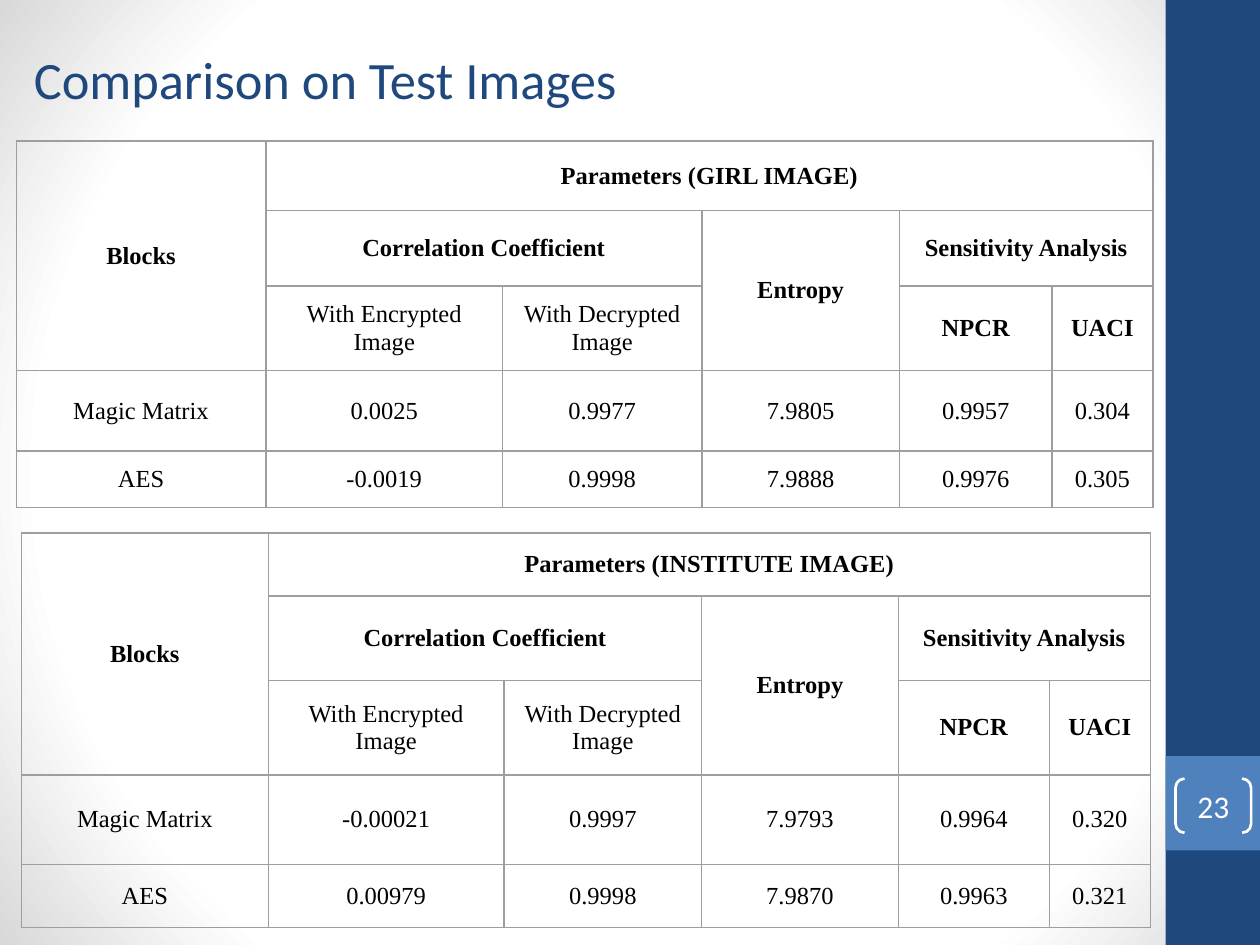
from lxml import etree
from pptx import Presentation
from pptx.dml.color import RGBColor
from pptx.enum.shapes import MSO_SHAPE as SHAPE
from pptx.enum.text import MSO_ANCHOR as ANCHOR, PP_ALIGN as ALIGN
from pptx.oxml import parse_xml
from pptx.oxml.ns import nsdecls
from pptx.util import Inches, Pt


def rgb(color):
    return RGBColor.from_string(color)


def put(tf, text, size=14, font="Times New Roman", color="000000", bold=False, align=ALIGN.CENTER):
    p = tf.paragraphs[0]
    p.alignment = align
    r = p.add_run()
    r.text = text
    r.font.size = Pt(size)
    r.font.name = font
    r.font.bold = bold
    r.font.color.rgb = rgb(color)


prs = Presentation()
prs.slide_width, prs.slide_height = Inches(10), Inches(7.5)
s = prs.slides.add_slide(prs.slide_layouts[6])

s.background.fill.gradient()
grad = s.background._cSld.bg.bgPr.find(".//{*}gradFill")
stops = "".join(
    f'<a:gs pos="{pos * 1000}"><a:srgbClr val="{color}"/></a:gs>'
    for pos, color in [(0, "FFFFFF"), (75, "FFFFFF"), (100, "D8D8D8")]
)
grad.getparent().replace(grad, parse_xml(
    f'<a:gradFill {nsdecls("a")} rotWithShape="1"><a:gsLst>{stops}</a:gsLst>'
    '<a:path path="circle"><a:fillToRect l="50000" t="50000" r="50000" b="50000"/></a:path></a:gradFill>'
))

for top, height, color in [(0, 7.5, "1F497D"), (6, 0.75, "4F81BD")]:
    sp = s.shapes.add_shape(SHAPE.RECTANGLE, Inches(9.25), Inches(top), Inches(0.75), Inches(height))
    sp.shadow.inherit = False
    sp.fill.solid()
    sp.fill.fore_color.rgb = rgb(color)
    sp.line.fill.background()

title = s.shapes.add_textbox(Inches(0.17), Inches(0), Inches(8.33), Inches(1.25))
tf = title.text_frame
tf.word_wrap = True
tf.vertical_anchor = ANCHOR.MIDDLE
put(tf, "Comparison on Test Images", size=30, font="Calibri", color="1F497D", align=ALIGN.LEFT)

sp = s.shapes.add_shape(SHAPE.DOUBLE_BRACKET, Inches(9.33), Inches(6.18), Inches(0.6), Inches(0.43))
sp.shadow.inherit = False
sp.fill.background()
sp.line.color.rgb = rgb("FFFFFF")
sp.line.width = Pt(1.5)
tf = sp.text_frame
tf.margin_left = tf.margin_right = tf.margin_top = tf.margin_bottom = 0
tf.vertical_anchor = ANCHOR.MIDDLE
put(tf, "23", size=18, font="Calibri", color="FFFFFF")

merges = [(0, 0, 2, 0), (0, 1, 0, 5), (1, 1, 1, 2), (1, 3, 2, 3), (1, 4, 1, 5)]
tables = [
    ("GIRL", 0.13, 1.12, [1.98, 1.88, 1.58, 1.57, 1.21, 0.8], [0.55, 0.6, 0.67, 0.64, 0.45],
     ["Magic Matrix", "0.0025", "0.9977", "7.9805", "0.9957", "0.304"],
     ["AES", "-0.0019", "0.9998", "7.9888", "0.9976", "0.305"]),
    ("INSTITUTE", 0.17, 4.23, [1.96, 1.87, 1.57, 1.56, 1.2, 0.8], [0.5, 0.67, 0.75, 0.71, 0.5],
     ["Magic Matrix", "-0.00021", "0.9997", "7.9793", "0.9964", "0.320"],
     ["AES", "0.00979", "0.9998", "7.9870", "0.9963", "0.321"]),
]

for image, left, top, widths, heights, magic, aes in tables:
    rows = [
        ["Blocks", f"Parameters ({image} IMAGE)", "", "", "", ""],
        ["", "Correlation Coefficient", "", "Entropy", "Sensitivity Analysis", ""],
        ["", "With Encrypted Image", "With Decrypted Image", "", "NPCR", "UACI"],
        magic,
        aes,
    ]
    table = s.shapes.add_table(
        len(rows), len(widths), Inches(left), Inches(top), Inches(sum(widths)), Inches(sum(heights))
    ).table
    table.first_row = table.horz_banding = False
    for col, width in zip(table.columns, widths):
        col.width = Inches(width)
    for row, height in zip(table.rows, heights):
        row.height = Inches(height)
    for r1, c1, r2, c2 in merges:
        table.cell(r1, c1).merge(table.cell(r2, c2))
    for i, row in enumerate(rows):
        for j, text in enumerate(row):
            cell = table.cell(i, j)
            cell.margin_left = cell.margin_right = Inches(0.1)
            cell.margin_top = cell.margin_bottom = Inches(0.1)
            cell.vertical_anchor = ANCHOR.MIDDLE
            tcPr = cell._tc.get_or_add_tcPr()
            for side in ("lnL", "lnR", "lnT", "lnB"):
                ln = etree.SubElement(tcPr, f"{{{tcPr.nsmap['a']}}}{side}", w=str(Pt(1)))
                ln.append(parse_xml(
                    f'<a:solidFill {nsdecls("a")}><a:srgbClr val="9E9E9E"/></a:solidFill>'
                ))
            cell.fill.background()
            if text:
                put(cell.text_frame, text, bold=i < 3 and not text.startswith("With"))

prs.save("out.pptx")
